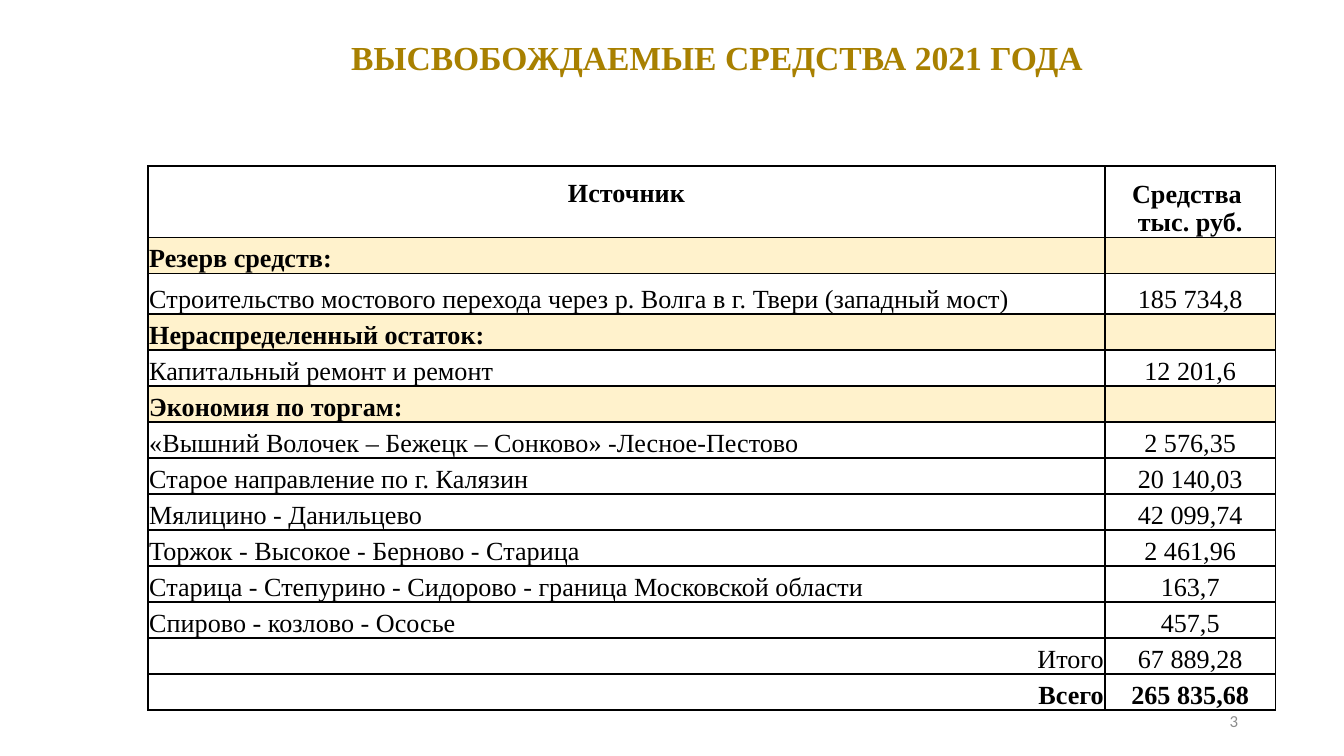
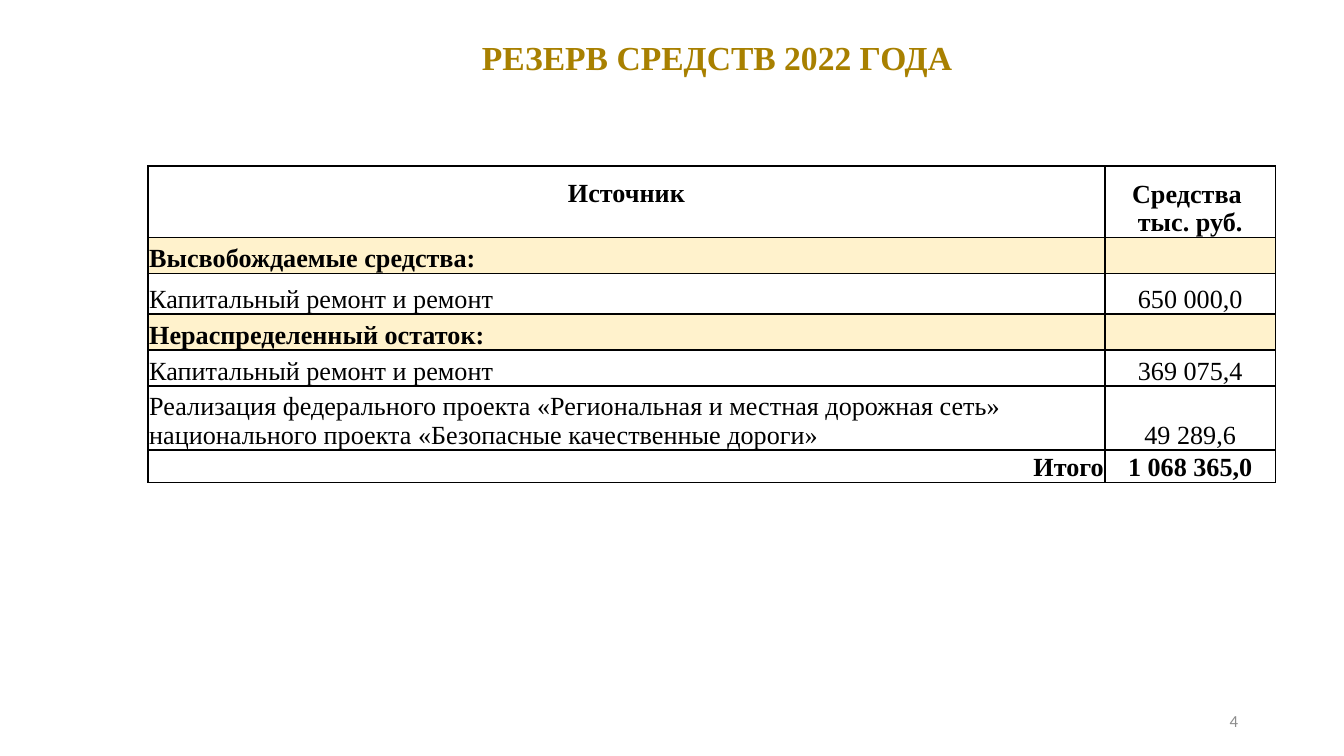
from lxml import etree
from pptx import Presentation
from pptx.dml.color import RGBColor
from pptx.enum import text
from pptx.oxml.ns import qn
from pptx.util import Cm, Pt

GOLD = RGBColor(0xA8, 0x80, 0x00)
CREAM = RGBColor(0xFF, 0xF2, 0xCC)
BLACK = RGBColor(0, 0, 0)
GREY = RGBColor(0x8C, 0x8C, 0x8C)
SERIF, SANS = "Times New Roman", "Calibri"
LEFT, CENTER, RIGHT = text.PP_ALIGN.LEFT, text.PP_ALIGN.CENTER, text.PP_ALIGN.RIGHT

HEADER = ("header", "Источник", "Средства \nтыс. руб.")
REPORTS = [
    {
        "title": "ВЫСВОБОЖДАЕМЫЕ СРЕДСТВА 2021 ГОДА",
        "number": "3",
        "rows": [
            ("section", "Резерв средств:", ""),
            ("first", "Строительство мостового перехода через р. Волга в г. Твери (западный мост)", "185 734,8"),
            ("section", "Нераспределенный остаток:", ""),
            ("item", "Капитальный ремонт и ремонт", "12 201,6"),
            ("section", "Экономия по торгам:", ""),
            ("item", "«Вышний Волочек – Бежецк – Сонково» -Лесное-Пестово", "2 576,35"),
            ("item", "Старое направление по г. Калязин", "20 140,03"),
            ("item", "Мялицино - Данильцево", "42 099,74"),
            ("item", "Торжок - Высокое - Берново - Старица", "2 461,96"),
            ("item", "Старица - Степурино - Сидорово - граница Московской области", "163,7"),
            ("item", "Спирово - козлово - Ососье", "457,5"),
            ("subtotal", "Итого", "67 889,28"),
            ("total", "Всего", "265 835,68"),
        ],
    },
    {
        "title": "РЕЗЕРВ СРЕДСТВ 2022 ГОДА",
        "number": "4",
        "rows": [
            ("section", "Высвобождаемые средства:", ""),
            ("first", "Капитальный ремонт и ремонт", "650 000,0"),
            ("section", "Нераспределенный остаток:", ""),
            ("item", "Капитальный ремонт и ремонт", "369 075,4"),
            ("double", "Реализация федерального проекта «Региональная и местная дорожная сеть» "
                       "национального проекта «Безопасные качественные дороги»", "49 289,6"),
            ("tight total", "Итого", "1 068 365,0"),
        ],
    },
]

ROW_STYLES = {
    "header": (1.35, CENTER, True),
    "section": (0.68, LEFT, True),
    "first": (0.77, LEFT, False),
    "item": (0.68, LEFT, False),
    "double": (1.12, LEFT, False),
    "subtotal": (0.68, RIGHT, False),
    "total": (0.68, RIGHT, True),
    "tight total": (0.57, RIGHT, True),
}
COLUMN_WIDTHS = (18.08, 3.23)
HEADER_LINE = 0.55


def write(frame, words, align, font_name, size, color, bold=False):
    frame.text = words
    for paragraph in frame.paragraphs:
        paragraph.alignment = align
        for run in paragraph.runs:
            run.font.name = font_name
            run.font.size = Pt(size)
            run.font.bold = bold
            run.font.color.rgb = color
        if not paragraph.runs:
            etree.SubElement(paragraph._p, qn("a:endParaRPr"), sz=str(size * 100))


def add_label(slide, left, top, width, height, *style):
    frame = slide.shapes.add_textbox(Cm(left), Cm(top), Cm(width), Cm(height)).text_frame
    frame.word_wrap = True
    frame.vertical_anchor = text.MSO_ANCHOR.MIDDLE
    write(frame, *style)
    return frame


def add_borders(cell):
    properties = cell._tc.get_or_add_tcPr()
    for side in ("lnL", "lnR", "lnT", "lnB"):
        line = etree.SubElement(properties, qn(f"a:{side}"), w=str(Pt(1)))
        fill = etree.SubElement(line, qn("a:solidFill"))
        etree.SubElement(fill, qn("a:srgbClr"), val=str(BLACK))


def add_funds_table(slide, rows):
    heights = [ROW_STYLES[kind][0] for kind, *_ in rows]
    funds = slide.shapes.add_table(len(rows), 2, Cm(2.8), Cm(3.14),
                                   Cm(sum(COLUMN_WIDTHS)), Cm(sum(heights))).table
    for column, width in zip(funds.columns, COLUMN_WIDTHS):
        column.width = Cm(width)
    for row, (kind, source, amount) in zip(funds.rows, rows):
        height, source_align, bold = ROW_STYLES[kind]
        row.height = Cm(height)
        for cell, words, align in zip(row.cells, (source, amount), (source_align, CENTER)):
            cell.margin_left = cell.margin_right = cell.margin_top = Cm(0.02)
            cell.margin_bottom = 0
            cell.vertical_anchor = text.MSO_ANCHOR.BOTTOM
            add_borders(cell)
            if kind == "section":
                cell.fill.solid()
                cell.fill.fore_color.rgb = CREAM
            else:
                cell.fill.background()
            write(cell.text_frame, words, align, SERIF, 14, BLACK, bold)
    funds.cell(0, 0).margin_bottom = Cm(HEADER_LINE)


def main():
    deck = Presentation()
    deck.slide_width, deck.slide_height = Cm(25.4), Cm(14.29)
    for report in REPORTS:
        slide = deck.slides.add_slide(deck.slide_layouts[6])
        add_label(slide, 17.93, 13.24, 5.72, 0.76, report["number"], RIGHT, SANS, 9, GREY)
        title = add_label(slide, 2.39, 0.53, 22.33, 1.2, report["title"], CENTER, SERIF, 18, GOLD, True)
        title.paragraphs[0].line_spacing = 0.9
        add_funds_table(slide, [HEADER] + report["rows"])
    deck.save("out.pptx")


if __name__ == "__main__":
    main()
